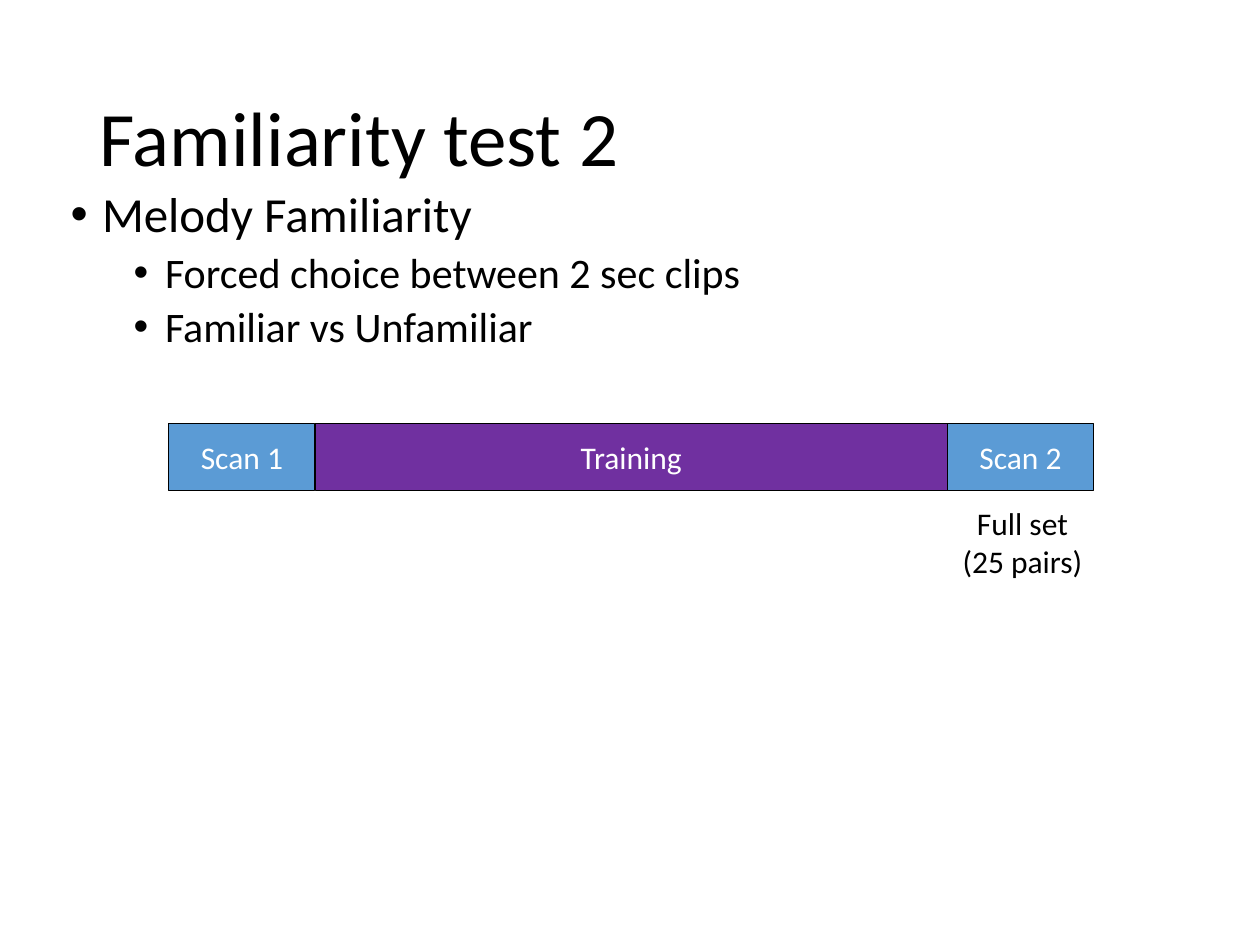
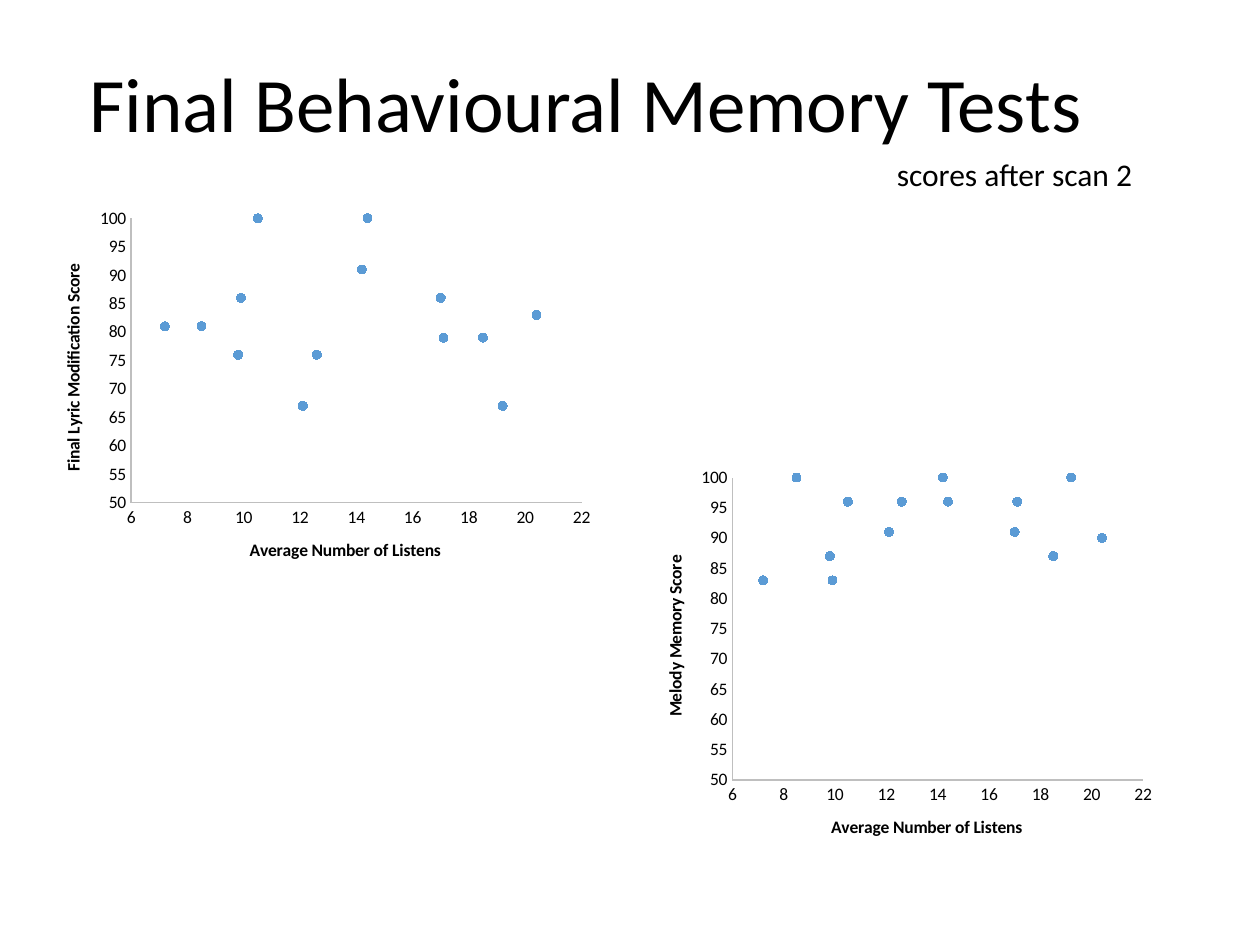
from dataclasses import dataclass

from lxml import etree
from pptx import Presentation
from pptx.chart.data import XyChartData
from pptx.dml.color import RGBColor
from pptx.enum.chart import XL_CHART_TYPE, XL_MARKER_STYLE, XL_TICK_MARK
from pptx.enum.shapes import MSO_SHAPE
from pptx.enum.text import MSO_ANCHOR, MSO_AUTO_SIZE, PP_ALIGN
from pptx.oxml.ns import qn
from pptx.util import Pt

SCATTER = XL_CHART_TYPE.XY_SCATTER
CIRCLE = XL_MARKER_STYLE.CIRCLE
NO_TICK = XL_TICK_MARK.NONE
RECT = MSO_SHAPE.RECTANGLE
MIDDLE, TOP = MSO_ANCHOR.MIDDLE, MSO_ANCHOR.TOP
GROW, FIXED = MSO_AUTO_SIZE.SHAPE_TO_FIT_TEXT, MSO_AUTO_SIZE.NONE
LEFT, CENTER = PP_ALIGN.LEFT, PP_ALIGN.CENTER
LISTED, TITLED = 1, 5  # layout numbers


@dataclass(frozen=True)
class Theme:
    face: str = "Calibri"
    ink: RGBColor = RGBColor(0, 0, 0)
    paper: RGBColor = RGBColor(255, 255, 255)
    blue: RGBColor = RGBColor(0x5B, 0x9B, 0xD5)
    purple: RGBColor = RGBColor(0x70, 0x30, 0xA0)
    gray: RGBColor = RGBColor(0xBF, 0xBF, 0xBF)
    title: int = 44
    levels: tuple = (28, 24)
    label: int = 18
    chart: int = 10


def place(shape, box):
    shape.left, shape.top, shape.width, shape.height = map(Pt, box)


class Deck:
    def __init__(self, theme):
        self.theme = theme
        self.prs = Presentation()
        self.prs.slide_width, self.prs.slide_height = Pt(720), Pt(540)

    def add(self, layout):
        self.slide = self.prs.slides.add_slide(self.prs.slide_layouts[layout])

    def style(self, font, size, color=None, bold=False):
        font.name, font.size, font.bold = self.theme.face, Pt(size), bold
        font.color.rgb = color or self.theme.ink

    def letter(self, frame, text, size, align, color=None):
        """Set the text of a frame and format its runs."""
        frame.text = text
        for para in frame.paragraphs:
            para.alignment = align
            for run in para.runs:
                self.style(run.font, size, color)

    def title(self, text, left, top):
        shape = self.slide.shapes.title
        place(shape, (left, top, 620.6, 104.4))
        frame = shape.text_frame
        self.letter(frame, text, self.theme.title, LEFT)
        frame.auto_size, frame.vertical_anchor = FIXED, MIDDLE
        frame.paragraphs[0].line_spacing = 0.9

    def bullets(self, items, box):
        shape = self.slide.placeholders[1]
        place(shape, box)
        frame = shape.text_frame
        self.letter(frame, "\n".join(text for _, text in items), self.theme.levels[0], LEFT)
        frame.auto_size, frame.vertical_anchor = FIXED, TOP
        for num, (para, (level, _)) in enumerate(zip(frame.paragraphs, items)):
            para.level = level
            props = para._p.get_or_add_pPr()
            props.set("marL", str(Pt(18 + 36 * level)))
            props.set("indent", str(Pt(-18)))
            etree.SubElement(props, qn("a:buFont")).set("typeface", "Arial")
            etree.SubElement(props, qn("a:buChar")).set("char", "•")
            para.line_spacing = 0.9
            para.space_before = Pt(5 if num else 0)
            para.runs[0].font.size = Pt(self.theme.levels[level])

    def note(self, text, box, align=LEFT):
        frame = self.slide.shapes.add_textbox(*map(Pt, box)).text_frame
        self.letter(frame, text, self.theme.label, align)
        frame.word_wrap, frame.auto_size = False, GROW

    def bar(self, parts, left, top, height):
        """Draw touching blocks, each a (text, width, fill), from left to right."""
        group = self.slide.shapes.add_group_shape()
        for text, width, fill in parts:
            block = group.shapes.add_shape(RECT, *map(Pt, (left, top, width, height)))
            block.shadow.inherit = False
            block.fill.solid()
            block.fill.fore_color.rgb = fill
            block.line.color.rgb, block.line.width = self.theme.ink, Pt(0.5)
            block.text_frame.vertical_anchor = MIDDLE
            self.letter(block.text_frame, text, self.theme.label, CENTER, self.theme.paper)
            left += width

    def axis(self, axis, name, low, high, step):
        axis.minimum_scale, axis.maximum_scale, axis.major_unit = low, high, step
        axis.has_major_gridlines = False
        axis.major_tick_mark = axis.minor_tick_mark = NO_TICK
        axis.format.line.color.rgb = self.theme.gray
        axis.format.line.width = Pt(0.75)
        self.style(axis.tick_labels.font, self.theme.chart)
        frame = axis.axis_title.text_frame
        frame.text = name
        self.style(frame.paragraphs[0].runs[0].font, self.theme.chart, bold=True)

    def scatter(self, name, points, box, inner):
        """Plot points; inner is the plot area as shares of the chart."""
        data = XyChartData()
        series = data.add_series("Series 1")
        for x, y in points:
            series.add_data_point(x, y)
        chart = self.slide.shapes.add_chart(SCATTER, *map(Pt, box), data).chart
        chart.has_legend = chart.has_title = False
        self.style(chart.font, self.theme.chart)
        self.axis(chart.category_axis, "Average Number of Listens", 6, 22, 2)
        self.axis(chart.value_axis, name, 50, 100, 5)

        plot = chart.plots[0]
        plot.vary_by_categories = False
        dots = plot.series[0]
        dots.smooth = False
        dots.format.line.fill.background()
        dots.marker.style, dots.marker.size = CIRCLE, 5
        fill = dots.marker.format.fill
        fill.solid()
        fill.fore_color.rgb = self.theme.blue
        dots.marker.format.line.color.rgb = self.theme.blue

        area = chart._chartSpace.chart.plotArea
        for old in area.findall(qn("c:layout")):
            area.remove(old)
        layout = etree.Element(qn("c:layout"))
        area.insert(0, layout)
        manual = etree.SubElement(layout, qn("c:manualLayout"))
        rules = [("layoutTarget", "inner"), ("xMode", "edge"), ("yMode", "edge")]
        for tag, value in rules + list(zip("xywh", inner)):
            etree.SubElement(manual, qn(f"c:{tag}")).set("val", str(value))


def tests(deck):
    theme = deck.theme
    deck.add(LISTED)
    deck.title("Familiarity test 2", 49.7, 28.8)
    deck.bullets([(0, "Melody Familiarity"),
                  (1, "Forced choice between 2 sec clips"),
                  (1, "Familiar vs Unfamiliar")], (33.1, 105.1, 648.7, 342.7))
    deck.note("Full set\n(25 pairs)", (538.6, 284.4, 91.4, 51.1), CENTER)
    deck.bar([("Scan 1", 83.5, theme.blue), ("Training", 361.4, theme.purple),
              ("Scan 2", 83.5, theme.blue)], 96.5, 241.9, 38.2)


def scores(deck):
    listens = [12.1, 14.4, 19.2, 20.4, 17, 18.5, 7.2, 9.9, 10.5, 14.2, 9.8, 8.5, 17.1, 12.6]
    lyric = [67, 100, 67, 83, 86, 79, 81, 86, 100, 91, 76, 81, 79, 76]
    melody = [91, 96, 100, 90, 91, 87, 83, 83, 96, 100, 87, 100, 96, 96]
    deck.add(TITLED)
    deck.title("Final Behavioural Memory Tests", 43.9, 9.4)
    deck.note("scores after scan 2", (505.4, 85, 167.8, 28.8))
    deck.scatter("Final Lyric Modification Score", zip(listens, lyric),
                 (20.2, 113.8, 321.8, 219.6), (0.17, 0.05, 0.8, 0.74))
    deck.scatter("Melody Memory Score", zip(listens, melody),
                 (364.3, 261.4, 301, 230.4), (0.18, 0.05, 0.78, 0.75))


def main():
    deck = Deck(Theme())
    tests(deck)
    scores(deck)
    deck.prs.save("out.pptx")


if __name__ == "__main__":
    main()
